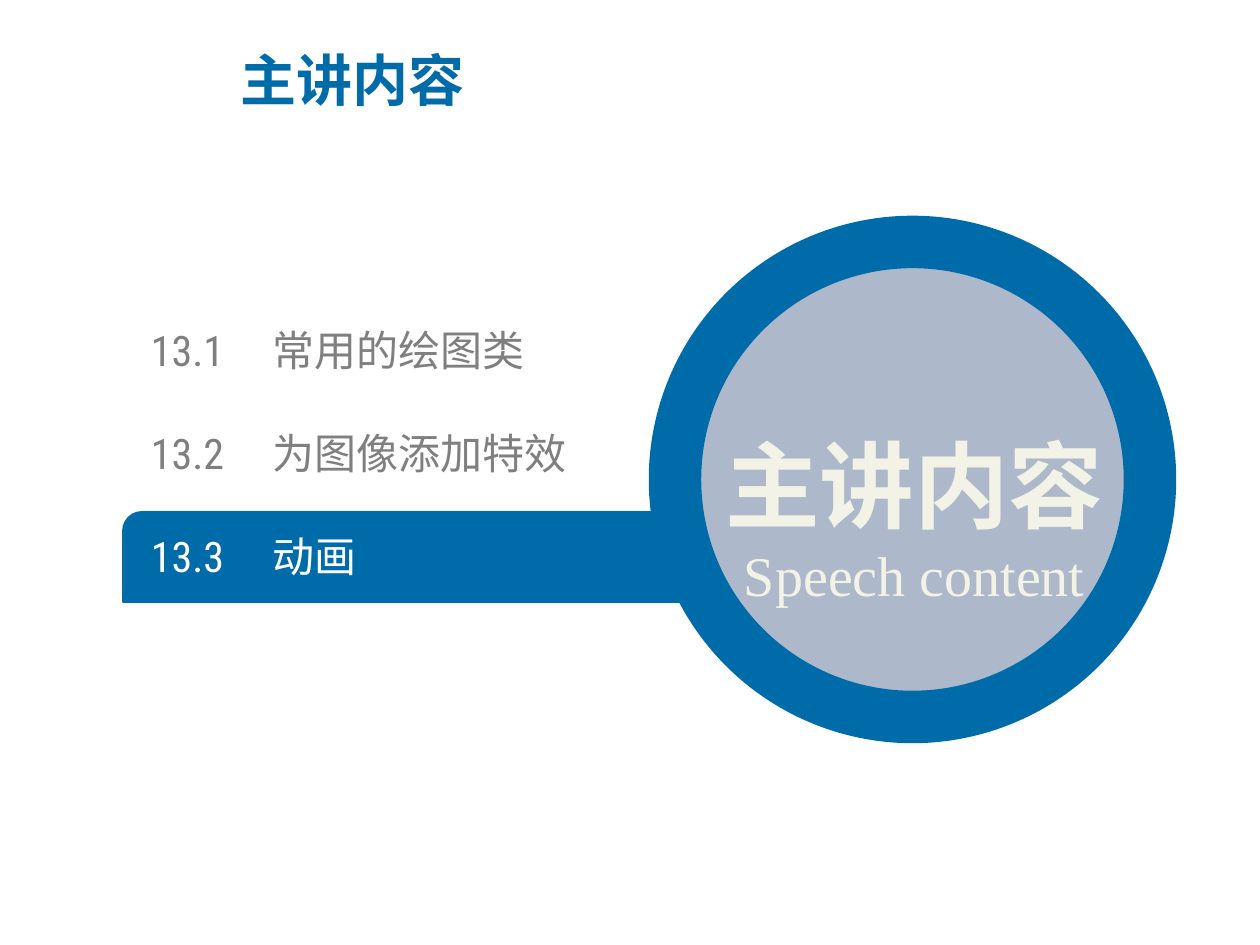
from lxml.etree import SubElement
from pptx import Presentation
from pptx.dml.color import RGBColor
from pptx.enum.shapes import MSO_SHAPE as Shape
from pptx.enum.text import MSO_ANCHOR as Anchor, MSO_AUTO_SIZE as Fit, PP_ALIGN as Align
from pptx.oxml.ns import qn
from pptx.util import Emu, Pt

PX = 914400 // 126
BLUE = RGBColor(0x00, 0x6B, 0xA9)
MIST = RGBColor(0xAD, 0xB9, 0xCA)
GRAY = RGBColor(0x7F, 0x7F, 0x7F)
WHITE = RGBColor(0xFF, 0xFF, 0xFF)
CREAM = RGBColor(0xF2, 0xF2, 0xE6)
HAN = "Noto Sans CJK SC"
HEAD = {"name": HAN, "size": Pt(32), "bold": True}
ITEM = {"name": "Roboto Condensed", "size": Pt(24)}
HERO = {"name": HAN, "size": Pt(54), "bold": True}
SUB = {"name": "Times New Roman", "size": Pt(32), "bold": False}
FRAME = {"word_wrap": True, "auto_size": Fit.NONE, "vertical_anchor": Anchor.MIDDLE}
FLUSH = {"margin_left": 0, "margin_top": 0, "margin_right": 0, "margin_bottom": 0}
TOPICS = [("13.1", "常用的绘图类"), ("13.2", "为图像添加特效"), ("13.3", "动画")]
ACTIVE = 2


def scale(*box):
    """Turn px lengths into EMU."""
    return [Emu(n * PX) for n in box]


def style(item, form):
    """Set each attribute named in a dict."""
    for key, value in form.items():
        setattr(item, key, value)


def write(para, text, form, color, align=Align.LEFT):
    """Add one formatted run to a paragraph."""
    para.alignment = align
    run = para.add_run()
    run.text = text
    style(run.font, form)
    run.font.color.rgb = color
    SubElement(run.font._element, qn("a:ea")).set("typeface", HAN)


def add_text(slide, box, form):
    """Add a text box and return its frame."""
    frame = slide.shapes.add_textbox(*scale(*box)).text_frame
    style(frame, form)
    return frame


def add_solid(slide, kind, box, fill, width):
    """Add a filled shape with a blue outline."""
    shape = slide.shapes.add_shape(kind, *scale(*box))
    shape.shadow.inherit = False
    shape.fill.solid()
    shape.fill.fore_color.rgb = fill
    shape.line.color.rgb = BLUE
    shape.line.width = Pt(width)
    return shape


def add_title(slide, box):
    """Place and format the title."""
    title = slide.shapes.title
    style(title, dict(zip(("left", "top", "width", "height"), scale(*box))))
    style(title.text_frame, FRAME)
    write(title.text_frame.paragraphs[0], "主讲内容", HEAD, BLUE)


def add_list(slide, box):
    """Draw the topic rows with a band behind the active one."""
    left, top, wide, high = box
    step, row, pad, band = 103, 50, 28, 90
    mid = top + ACTIVE * step + row // 2
    bar = add_solid(slide, Shape.ROUND_2_DIAG_RECTANGLE,
                    (left, mid - band // 2 + 1, wide, band), BLUE, 1)
    bar.adjustments[0] = 0.21
    bar.adjustments[1] = 0
    for i, (number, topic) in enumerate(TOPICS):
        spot = (left + pad, top + i * step, 528, row)
        para = add_text(slide, spot, FRAME | FLUSH).paragraphs[0]
        tabs = SubElement(para._p.get_or_add_pPr(), qn("a:tabLst"))
        SubElement(tabs, qn("a:tab"), pos=str(122 * PX), algn="l")
        write(para, f"{number}\t{topic}", ITEM, WHITE if i == ACTIVE else GRAY)


def add_lens(slide, box):
    """Draw the ringed circle with its two lines of text."""
    left, top, side, _ = box
    add_solid(slide, Shape.OVAL, box, MIST, 30)
    frame = add_text(slide, (left - 6, top + 121, side + 16, 252), FRAME)
    first = frame.paragraphs[0]
    first.line_spacing = 1.5
    write(first, "主讲内容", HERO, CREAM, Align.CENTER)
    write(frame.add_paragraph(), "Speech content", SUB, CREAM, Align.CENTER)


def main():
    """Build and save the slide."""
    deck = Presentation()
    deck.slide_width, deck.slide_height = scale(1260, 945)
    slide = deck.slides.add_slide(deck.slide_layouts[5])
    add_title(slide, (228, 26, 709, 106))
    add_list(slide, (123, 325, 674, 256))
    add_lens(slide, (675, 242, 475, 475))
    deck.save("out.pptx")


if __name__ == "__main__":
    main()
